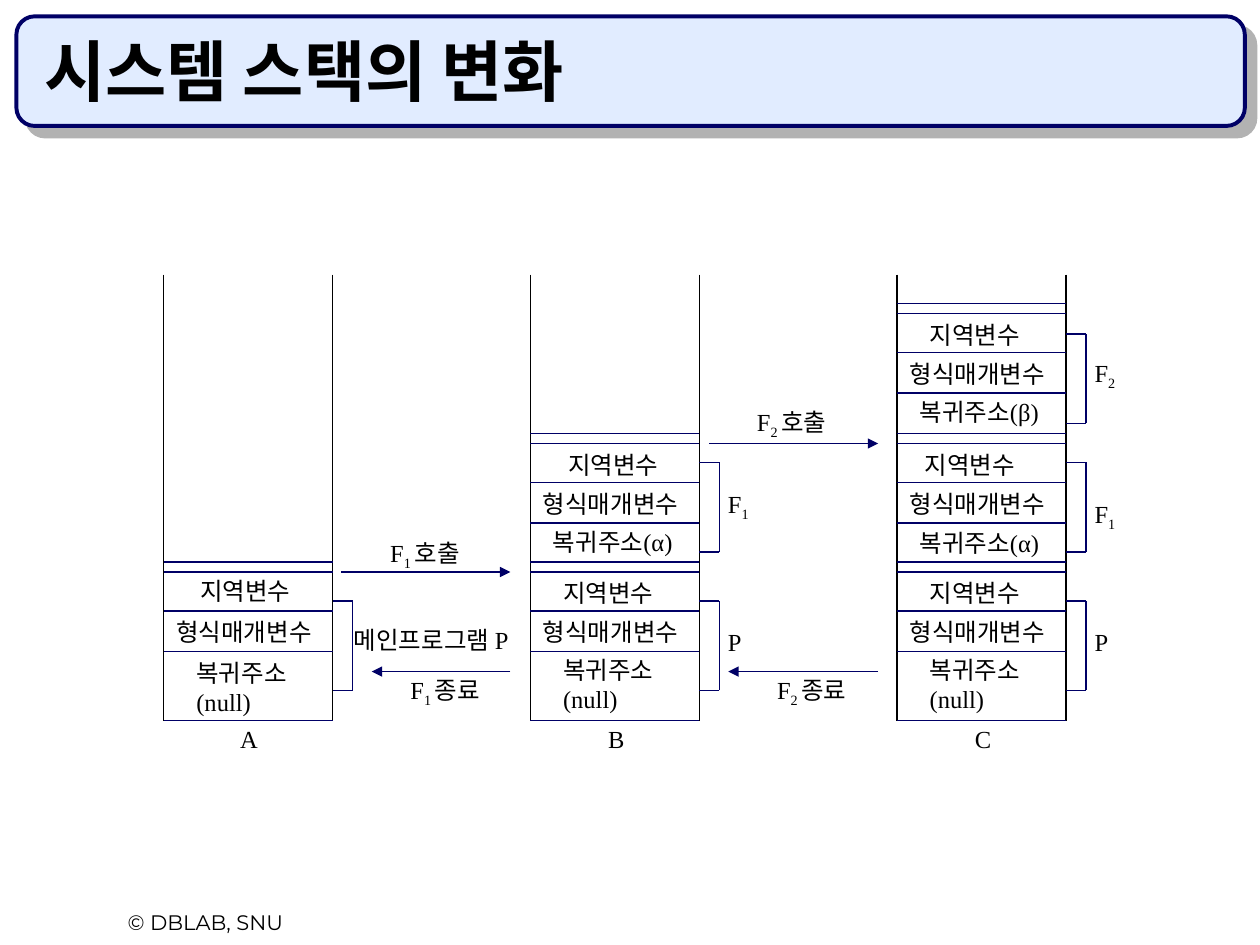
from lxml.etree import SubElement
from pptx import Presentation
from pptx.dml.color import RGBColor
from pptx.enum.shapes import MSO_CONNECTOR, MSO_SHAPE
from pptx.enum.text import MSO_ANCHOR, MSO_AUTO_SIZE, PP_ALIGN
from pptx.oxml.ns import qn
from pptx.util import Inches, Pt

BLACK = RGBColor(0x00, 0x00, 0x00)
NAVY = RGBColor(0x00, 0x00, 0x66)
PALE_BLUE = RGBColor(0xE1, 0xEC, 0xFF)
SHADOW = RGBColor(0xB2, 0xB2, 0xB2)
SERIF = "Times New Roman"

STACK_TOP, STACK_BOTTOM, STACK_WIDTH = 2.18, 5.72, 1.34
FRAME_TOPS = {"P": 4.46, "F1": 3.44, "F2": 2.41}
BRACKET_TOPS = {"P": 4.77, "F1": 3.67, "F2": 2.65}
RETURNS = {"P": ("(null)", 0.16, 1.02), "F1": ("(α)", 0.08, 1.26), "F2": ("(β)", 0.08, 1.34)}
ROW_OFFSETS = (0, 0.08, 0.39, 0.71)

# name, left, frames as (frame, local left offset, local top, return top)
STACKS = [
    ("A", 1.3, [("P", 0.19, 4.52, 5.17)]),
    ("B", 4.21, [("P", 0.16, 4.54, 5.15), ("F1", 0.2, 3.52, 4.13)]),
    ("C", 7.12, [("P", 0.16, 4.54, 5.15), ("F1", 0.12, 3.52, 4.14), ("F2", 0.16, 2.49, 3.1)]),
]
FRAME_LABELS = [
    (2.71, 4.91, 1.57, ["메인프로그램 P"]),
    (5.63, 4.93, 0.39, [" P"]),
    (8.54, 4.93, 0.39, [" P"]),
    (5.63, 3.83, 0.47, [" F", "1"]),
    (8.54, 3.91, 0.47, [" F", "1"]),
    (8.54, 2.79, 0.47, [" F", "2"]),
]
# arrow start, arrow end, arrow y, label left, label top, function number, action
TRANSITIONS = [
    (2.71, 4.05, 4.54, 2.95, 4.22, "1 ", "호출"),
    (5.63, 6.97, 3.52, 5.86, 3.18, "2 ", "호출"),
    (4.05, 2.95, 5.33, 3.11, 5.31, "1 ", "종료"),
    (6.97, 5.78, 5.33, 6.02, 5.31, "2 ", "종료"),
]


class StackSlide:
    def __init__(self, prs):
        self.slide = prs.slides.add_slide(prs.slide_layouts[5])
        self.shapes = self.slide.shapes

    def style(self, r, size=14, font=SERIF, bold=False):
        r.font.size = Pt(size)
        r.font.name = font
        r.font.bold = bold
        r.font.color.rgb = BLACK

    def banner(self, x, y, w, h):
        sp = self.shapes.add_shape(
            MSO_SHAPE.ROUNDED_RECTANGLE, Inches(x), Inches(y), Inches(w), Inches(h))
        sp.adjustments[0] = 0.167
        sp.fill.solid()
        sp.fill.fore_color.rgb = PALE_BLUE
        sp.line.color.rgb = NAVY
        sp.line.width = Pt(2.25)
        effects = SubElement(sp._element.spPr, qn("a:effectLst"))
        shadow = SubElement(effects, qn("a:outerShdw"), dist=str(Pt(8.5)),
                            dir="2700000", algn="ctr", rotWithShape="0")
        SubElement(shadow, qn("a:srgbClr"), val=str(SHADOW))

    def title(self, text, x, y, w, h):
        sp = self.shapes.title
        self.shapes._spTree.append(sp._element)
        sp.left, sp.top, sp.width, sp.height = map(Inches, (x, y, w, h))
        tf = sp.text_frame
        tf.text = text
        tf.word_wrap = True
        tf.auto_size = MSO_AUTO_SIZE.NONE
        tf.vertical_anchor = MSO_ANCHOR.BOTTOM
        p = tf.paragraphs[0]
        p.alignment = PP_ALIGN.LEFT
        self.style(p.runs[0], 38, bold=True)

    def text(self, x, y, w, parts, h=0.34, size=14, font=SERIF, align=PP_ALIGN.LEFT):
        sp = self.shapes.add_textbox(Inches(x), Inches(y), Inches(w), Inches(h))
        tf = sp.text_frame
        tf.word_wrap = True
        p = tf.paragraphs[0]
        p.alignment = align
        for i, part in enumerate(parts):
            r = p.add_run()
            r.text = part
            self.style(r, size, font)
            if i == 1:
                r.font._element.set("baseline", "-25000")

    def line(self, x1, y1, x2, y2, color=NAVY, arrow=False):
        cn = self.shapes.add_connector(
            MSO_CONNECTOR.STRAIGHT, Inches(x1), Inches(y1), Inches(x2), Inches(y2))
        cn.line.color.rgb = color
        cn.line.width = Pt(0.75)
        if arrow:
            SubElement(cn.line._get_or_add_ln(), qn("a:tailEnd"), type="triangle")
        SubElement(cn._element.spPr, qn("a:effectLst"))

    def bracket(self, x, y, w=0.16, h=0.71):
        self.line(x + w, y, x + w, y + h)
        for edge in (y, y + h):
            self.line(x + w, edge, x, edge)

    def frame(self, x, name, local_dx, local_y, return_y):
        top = FRAME_TOPS[name]
        for offset in ROW_OFFSETS:
            self.line(x, top + offset, x + STACK_WIDTH, top + offset)
        address, dx, width = RETURNS[name]
        self.text(x + local_dx, local_y, 0.98, ["지역변수"])
        self.text(x, top + 0.39, 1.5, ["형식매개변수"])
        self.text(x + dx, return_y, width, ["복귀주소" + address], 0.57 if name == "P" else 0.34)
        self.bracket(x + STACK_WIDTH, BRACKET_TOPS[name])

    def stack(self, name, x, frames):
        for side in (x, x + STACK_WIDTH):
            self.line(side, STACK_TOP, side, STACK_BOTTOM, BLACK)
        self.line(x, STACK_BOTTOM, x + STACK_WIDTH, STACK_BOTTOM)
        for frame in frames:
            self.frame(x, *frame)
        self.text(x + 0.47, 5.7, 0.47, [" " + name])


def main():
    prs = Presentation()
    prs.slide_width, prs.slide_height = Inches(10), Inches(7.5)
    s = StackSlide(prs)
    s.banner(0.13, 0.13, 9.75, 0.87)
    s.text(0.42, 7.17, 2.42, ["© DBLAB, SNU"], 0.3, 12, "Montserrat", PP_ALIGN.CENTER)
    s.title("시스템 스택의 변화", 0.25, 0.25, 9.42, 0.67)
    for stack in STACKS:
        s.stack(*stack)
    for x, y, w, parts in FRAME_LABELS:
        s.text(x, y, w, parts, 0.37 if len(parts) > 1 else 0.34)
    for start, end, y, label_x, label_y, number, action in TRANSITIONS:
        s.line(start, y, end, y, arrow=True)
        s.text(label_x, label_y, 0.95, [" F", number, action], 0.37)
    prs.save("out.pptx")


if __name__ == "__main__":
    main()
